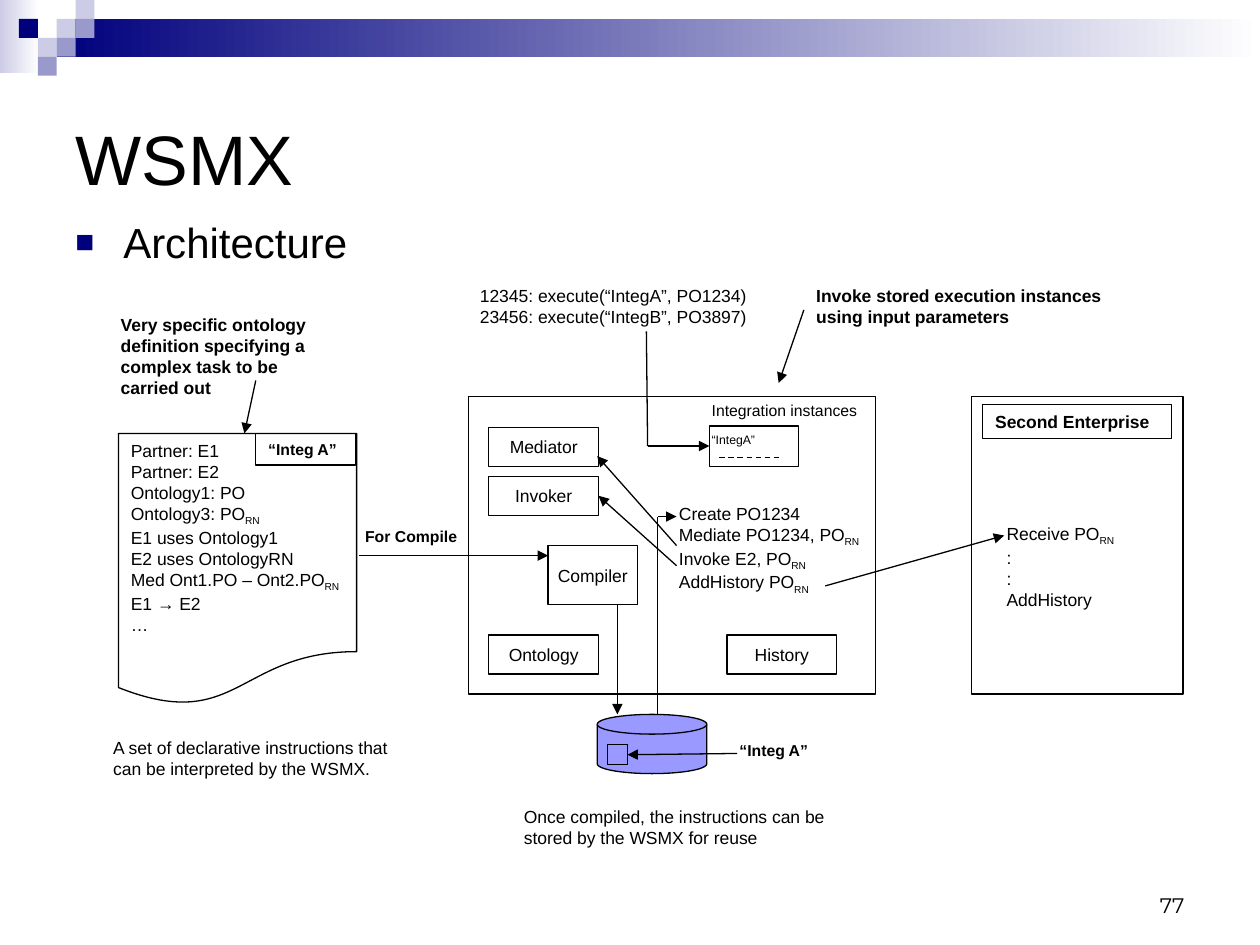
from lxml import etree
from pptx import Presentation
from pptx.dml.color import RGBColor
from pptx.enum.dml import MSO_LINE
from pptx.enum.shapes import MSO_CONNECTOR, MSO_SHAPE
from pptx.enum.text import MSO_ANCHOR, PP_ALIGN
from pptx.oxml.ns import qn
from pptx.util import Inches, Pt

RECT, DISK, DOC = MSO_SHAPE.RECTANGLE, MSO_SHAPE.FLOWCHART_MAGNETIC_DISK, MSO_SHAPE.FLOWCHART_DOCUMENT
TOP, MID, BASE = MSO_ANCHOR.TOP, MSO_ANCHOR.MIDDLE, MSO_ANCHOR.BOTTOM
LEFT, MIDDLE, RIGHT = PP_ALIGN.LEFT, PP_ALIGN.CENTER, PP_ALIGN.RIGHT
INK = {"black": "000000", "white": "FFFFFF", "navy": "00007D",
       "pale": "CCCCE6", "mauve": "9999CC", "store": "9999FF"}
FONT = "Arial"

# Header: gradient bars, then squares as (column, row, colour) on a small grid
CELL = 0.15
BARS = [((0, 0, 0.31, 0.58), "pale"), ((0.45, 0.15, 9.55, 0.3), "navy")]
TILES = [(3, 1, "pale"), (4, 0, "pale"), (4, 1, "mauve"), (2, 2, "pale"),
         (1, 1, "navy"), (3, 2, "mauve"), (2, 3, "mauve")]

# Outlined parts: name, preset, place, fill
PARTS = [
    ("task", DOC, (0.94, 3.44, 1.89, 2.16), None),
    ("engine", RECT, (3.72, 3.15, 3.23, 2.36), None),
    ("partner", RECT, (7.71, 3.15, 1.68, 2.36), None),
    ("case", RECT, (5.63, 3.38, 0.71, 0.32), None),
    ("disk", DISK, (4.74, 5.67, 0.87, 0.47), "store"),
    ("slot", RECT, (4.82, 5.91, 0.16, 0.16), "store"),
    ("tag", RECT, (2.03, 3.44, 0.79, 0.25), None),
    ("head", RECT, (7.8, 3.21, 1.5, 0.27), None),
]
# Engine modules: name, left, top, width, height
UNIT = (0.87, 0.31)
MODULES = [("Mediator", 3.88, 3.39, *UNIT), ("Invoker", 3.88, 3.78, *UNIT),
           ("Ontology", 3.88, 5.04, *UNIT), ("History", 5.77, 5.04, *UNIT),
           ("Compiler", 4.35, 4.33, 0.71, 0.47)]

# Text inside parts: part, lines, size, bold; "_RN" marks a subscript
TASK = ["Partner: E1", "Partner: E2", "Ontology1: PO", "Ontology3: PO_RN",
        "E1 uses Ontology1", "E2 uses OntologyRN", "Med Ont1.PO – Ont2.PO_RN",
        "E1 → E2", "…"]
INNER = [("task", TASK, 10, False), ("tag", ["“Integ A”"], 9, True),
         ("head", ["Second Enterprise"], 10, True)]
# Free labels: place, lines, size, bold
LABELS = [
    ((0.86, 2.44, 1.89, 0.77),
     ["Very specific ontology definition specifying a complex task to be carried out"], 10, True),
    ((5.55, 3.13, 1.59, 0.25), ["Integration instances"], 9, False),
    ((5.29, 3.94, 1.65, 0.84),
     ["Create PO1234", "Mediate PO1234, PO_RN", "Invoke E2, PO_RN", "AddHistory PO_RN"], 10, False),
    ((2.8, 4.13, 0.94, 0.25), ["For Compile"], 9, True),
    ((7.89, 4.1, 1.1, 0.79), ["Receive PO_RN", ":", ":", "AddHistory"], 10, False),
    ((3.71, 2.21, 2.52, 0.6),
     ["12345: execute(“IntegA”, PO1234)", "23456: execute(“IntegB”, PO3897)"], 10, False),
    ((4.06, 6.35, 2.6, 0.69),
     ["Once compiled, the instructions can be stored by the WSMX for reuse"], 10, False),
    ((5.77, 5.83, 0.79, 0.25), ["“Integ A”"], 9, True),
    ((6.38, 2.21, 2.6, 0.44),
     ["Invoke stored execution instances using input parameters"], 10, True),
    ((0.8, 5.8, 2.52, 0.6),
     ["A set of declarative instructions that can be interpreted by the WSMX."], 10, False),
    ((5.55, 3.38, 0.71, 0.22), ["“IntegA”"], 7, False),
]

# Lines: start, end, arrow; an end may be a (part, side) pair
LINES = [
    ((2.84, 4.33), (2.84, 4.33), True), ((2.85, 4.41), (4.35, 4.41), True),
    ((4.9, 4.8), (4.9, 5.67), True),
    ((5.22, 5.67), (5.22, 4.1), False), ((5.22, 4.1), (5.37, 4.1), True),
    ((6.55, 4.65), (7.97, 4.25), True),
    ((5.37, 4.33), (4.74, 3.62), True), ((5.37, 4.49), ("Invoker", 3), True),
    ((5.13, 2.63), (5.14, 3.54), False), ((5.14, 3.54), ("case", 1), True),
    ((5.85, 5.98), ("slot", 3), True),
    ((6.38, 2.46), (6.18, 3.04), True), ((2.03, 3.02), (1.94, 3.44), True),
]
DASH = ((5.71, 3.63), (6.18, 3.63), False)
# Loop from the last step to History: two cubic curves
LOOP = [((6.63, 4.8), (6.82, 4.86), (7.01, 4.92), (7.03, 4.96)),
        ((7.03, 4.96), (7.04, 5), (6.87, 5.02), (6.71, 5.04))]


def rgb(key):
    return RGBColor.from_string(INK[key])


def edge(part, arrow=False):
    part.line.color.rgb = rgb("black")
    part.line.width = Pt(0.75)
    if arrow:
        etree.SubElement(part.line._get_or_add_ln(), qn("a:tailEnd"), type="triangle")


def block(preset, place, fill=None, lined=True):
    part = slide.shapes.add_shape(preset, *map(Inches, place))
    part.shadow.inherit = False
    if fill:
        part.fill.solid()
        part.fill.fore_color.rgb = rgb(fill)
    else:
        part.fill.background()
    if lined:
        edge(part)
    else:
        part.line.fill.background()
    return part


def write(part, lines, size, bold=False, align=LEFT, anchor=TOP, wrap=True, font=FONT):
    frame = part.text_frame
    frame.word_wrap, frame.vertical_anchor = wrap, anchor
    frame.text = "\n".join(lines)
    for para, line in zip(frame.paragraphs, lines):
        para.alignment = align
        stem, mark, _ = line.partition("_RN")
        para.runs[0].text = stem
        if mark:
            sub = para.add_run()
            sub.text = "RN"
            sub.font._element.set("baseline", "-25000")
        for run in para.runs:
            run.font.name, run.font.size, run.font.bold = font, Pt(size), bold
            run.font.color.rgb = rgb("black")


def label(place, *args, **opts):
    box = slide.shapes.add_textbox(*map(Inches, place))
    write(box, *args, **opts)
    return box


def link(start, end, arrow):
    joined = isinstance(end[0], str)
    stop = start if joined else end
    line = slide.shapes.add_connector(MSO_CONNECTOR.STRAIGHT, *map(Inches, start + stop))
    if joined:
        line.end_connect(parts[end[0]], end[1])
    edge(line, arrow)
    etree.SubElement(line._element.spPr, qn("a:effectLst"))
    return line


def curve(a, b, c, d, steps=16):
    for i in range(steps + 1):
        t = i / steps
        u = 1 - t
        yield tuple(u**3 * p + 3 * u * u * t * q + 3 * u * t * t * r + t**3 * s
                    for p, q, r, s in zip(a, b, c, d))


deck = Presentation()
deck.slide_width, deck.slide_height = Inches(10), Inches(7.5)
slide = deck.slides.add_slide(deck.slide_layouts[5])

# Header band
for place, tint in BARS:
    bar = block(RECT, place, lined=False)
    bar.fill.gradient()
    bar.fill.gradient_angle = 0
    for stop, key in zip(bar.fill.gradient_stops, (tint, "white")):
        stop.color.rgb = rgb(key)
for col, row, tint in TILES:
    block(RECT, (col * CELL, row * CELL, CELL, CELL), tint, lined=False)

# Title, bullet and page number
title = slide.shapes.title
title.left, title.top, title.width, title.height = map(Inches, (0.5, 0.5, 9, 1.5))
write(title, ["WSMX"], 40, anchor=MID)
topic = label((0.5, 1.67, 8.99, 0.6), ["Architecture"], 24)
props = topic.text_frame.paragraphs[0]._p.get_or_add_pPr()
props.set("marL", str(Inches(0.38)))
props.set("indent", str(-Inches(0.38)))
tint = etree.SubElement(props, qn("a:buClr"))
etree.SubElement(tint, qn("a:srgbClr"), val=INK["navy"])
etree.SubElement(props, qn("a:buSzPct"), val="75000")
etree.SubElement(props, qn("a:buFont"), typeface=FONT)
etree.SubElement(props, qn("a:buChar"), char="■")
label((7.17, 6.83, 2.33, 0.5), ["77"], 12, align=RIGHT, anchor=BASE, font="Montserrat")

# Parts, modules and their text
parts = {name: block(preset, place, fill) for name, preset, place, fill in PARTS}
for name, *place in MODULES:
    parts[name] = block(RECT, place)
    write(parts[name], [name], 10, align=MIDDLE, anchor=MID, wrap=False)
for name, lines, size, bold in INNER:
    write(parts[name], lines, size, bold, wrap=name != "task")
for item in LABELS:
    label(*item)

# Lines and loop
for item in LINES:
    link(*item)
link(*DASH).line.dash_style = MSO_LINE.DASH
points = [point for piece in LOOP for point in curve(*piece)]
pen = slide.shapes.build_freeform(*points[0], scale=Inches(1))
pen.add_line_segments(points[1:], close=False)
loop = pen.convert_to_shape()
loop.shadow.inherit = False
loop.fill.background()
edge(loop, True)

deck.save("out.pptx")
